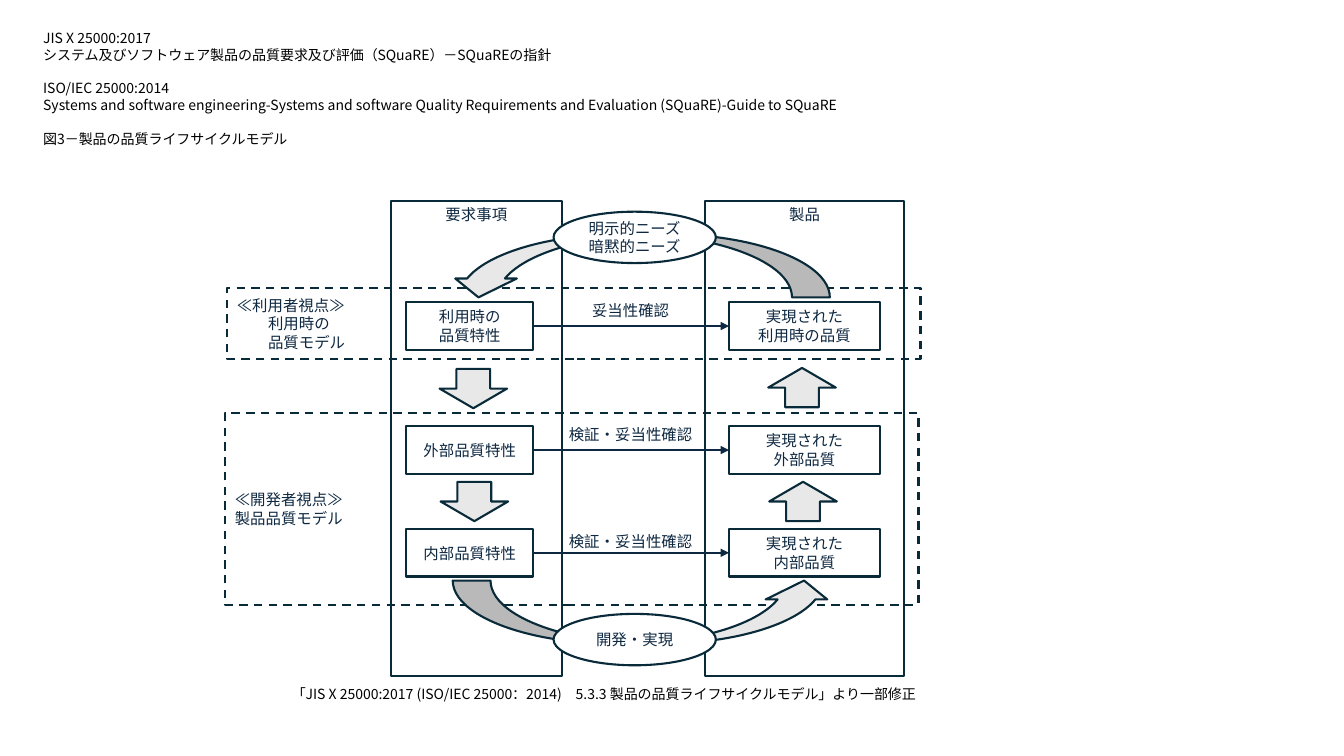
from lxml import etree
from pptx import Presentation
from pptx.dml.color import RGBColor
from pptx.enum.dml import MSO_LINE
from pptx.enum.shapes import MSO_CONNECTOR, MSO_SHAPE
from pptx.enum.text import MSO_ANCHOR, PP_ALIGN
from pptx.oxml.ns import qn
from pptx.util import Inches, Pt

RECT, OVAL = MSO_SHAPE.RECTANGLE, MSO_SHAPE.OVAL
DOWN, UP, CURVED = MSO_SHAPE.DOWN_ARROW, MSO_SHAPE.UP_ARROW, MSO_SHAPE.CURVED_UP_ARROW
STRAIGHT, DASH = MSO_CONNECTOR.STRAIGHT, MSO_LINE.DASH
LEFT, CENTER, RIGHT = PP_ALIGN.LEFT, PP_ALIGN.CENTER, PP_ALIGN.RIGHT
TOP, MIDDLE = MSO_ANCHOR.TOP, MSO_ANCHOR.MIDDLE

WHITE = RGBColor(0xFF, 0xFF, 0xFF)
BLACK = RGBColor(0, 0, 0)
GRAY = RGBColor(0xE8, 0xE8, 0xE8)
OUTLINE = RGBColor(0x09, 0x2A, 0x39)
NAVY = RGBColor(0x0E, 0x28, 0x41)
FONT = "Noto Sans CJK JP"
DIAGRAM_FONT = {"name": FONT, "size": Pt(11), "color": NAVY}
NOTE_FONT = {"name": FONT, "size": Pt(10), "color": BLACK}

HEADING_GROUPS = [
    ["JIS X 25000:2017",
     "システム及びソフトウェア製品の品質要求及び評価（SQuaRE）－SQuaREの指針"],
    ["ISO/IEC 25000:2014",
     "Systems and software engineering-Systems and software Quality "
     "Requirements and Evaluation (SQuaRE)-Guide to SQuaRE"],
    ["図3－製品の品質ライフサイクルモデル"],
]
SOURCE = "「JIS X 25000:2017 (ISO/IEC 25000：2014)　5.3.3 製品の品質ライフサイクルモデル」より一部修正"
COLUMNS = [("要求事項", 3.88, 1.69), ("製品", 6.99, 1.98)]
VIEWPOINTS = [
    (["≪利用者視点≫", "利用時の", "品質モデル"], 0.31, (2.25, 2.86, 6.88, 0.7)),
    (["≪開発者視点≫", "製品品質モデル"], 0, (2.23, 4.1, 6.88, 1.9)),
]
QUALITY_ROWS = [
    (3, ["利用時の", "品質特性"], ["実現された", "利用時の品質"], "妥当性確認", 2.76),
    (4.23, ["外部品質特性"], ["実現された", "外部品質"], "検証・妥当性確認", 3.99),
    (5.25, ["内部品質特性"], ["実現された", "内部品質"], "検証・妥当性確認", 5.06),
]
REQUIREMENT_LEFT, REQUIREMENT_WIDTH = 4.03, 1.26
PRODUCT_LEFT, PRODUCT_WIDTH = 7.23, 1.5
ROW_HEIGHT = 0.47
FLOW_ARROWS = [(DOWN, 4.36, 3.66), (DOWN, 4.37, 4.78), (UP, 7.62, 3.65), (UP, 7.63, 4.78)]
CYCLE_ENDS = [
    (["開発・実現"], 6.09, (4.49, 5.76), 0),
    (["明示的ニーズ", "暗黙的ニーズ"], 2.1, (4.44, 2.32), 180),
]
CURVE_ADJUSTMENTS = (0.595, 0.97, 0.298)

deck = Presentation()
deck.slide_width, deck.slide_height = Inches(13.33), Inches(7.5)
page = deck.slides.add_slide(deck.slide_layouts[6])


def write(box, lines, align=CENTER, anchor=MIDDLE, style=DIAGRAM_FONT):
    frame = box.text_frame
    frame.word_wrap = True
    frame.vertical_anchor = anchor
    for index, line in enumerate(lines):
        para = frame.paragraphs[0] if index == 0 else frame.add_paragraph()
        para.alignment = align
        span = para.add_run()
        span.text = line
        for name, value in style.items():
            if name == "color":
                span.font.color.rgb = value
            else:
                setattr(span.font, name, value)
        east_asian = etree.SubElement(span.font._element, qn("a:ea"))
        east_asian.set("typeface", style["name"])
    return frame


def add_box(kind, place, fill=WHITE, dash=None):
    box = page.shapes.add_shape(kind, *map(Inches, place))
    box.shadow.inherit = False
    if fill is None:
        box.fill.background()
    else:
        box.fill.solid()
        box.fill.fore_color.rgb = fill
    box.line.color.rgb = OUTLINE
    box.line.width = Pt(1.5)
    if dash is not None:
        box.line.dash_style = dash
    return box


def add_text(place, lines, **layout):
    return write(page.shapes.add_textbox(*map(Inches, place)), lines, **layout)


def add_arrow(start, end):
    arrow = page.shapes.add_connector(STRAIGHT, *map(Inches, (*start, *end)))
    arrow.line.color.rgb = NAVY
    arrow.line.width = Pt(1.5)
    etree.SubElement(arrow.line._get_or_add_ln(), qn("a:tailEnd")).set("type", "triangle")
    etree.SubElement(arrow._element.spPr, qn("a:effectLst"))


for title, left, width in COLUMNS:
    write(add_box(RECT, (left, 1.99, width, 4.72)), [title], anchor=TOP)

for lines, indent, place in VIEWPOINTS:
    frame = write(add_box(RECT, place, None, DASH), lines, align=LEFT)
    for para in frame.paragraphs[1:]:
        para._p.get_or_add_pPr().set("marL", str(Inches(indent)))

heading = add_text((0.33, 0.24, 8.98, 1.28), sum(HEADING_GROUPS, []),
                   align=LEFT, anchor=TOP, style=NOTE_FONT)
group_start = 0
for group in HEADING_GROUPS[:-1]:
    group_start += len(group)
    heading.paragraphs[group_start].space_before = Pt(12)

for top, requirement, product, check, check_top in QUALITY_ROWS:
    write(add_box(RECT, (PRODUCT_LEFT, top, PRODUCT_WIDTH, ROW_HEIGHT)), product)
    write(add_box(RECT, (REQUIREMENT_LEFT, top, REQUIREMENT_WIDTH, ROW_HEIGHT)), requirement)
    add_text((5.33, check_top, 1.85, 0.63), [check])
    middle = top + ROW_HEIGHT / 2
    add_arrow((REQUIREMENT_LEFT + REQUIREMENT_WIDTH, middle), (PRODUCT_LEFT, middle))

for kind, left, top in FLOW_ARROWS:
    add_box(kind, (left, top, 0.67, 0.39), GRAY)

for lines, top, curve_corner, rotation in CYCLE_ENDS:
    curve = add_box(CURVED, (*curve_corner, 3.79, 0.63), GRAY)
    curve.rotation = rotation
    for index, value in enumerate(CURVE_ADJUSTMENTS):
        curve.adjustments[index] = value
    frame = write(add_box(OVAL, (5.49, top, 1.61, 0.51)), lines)
    frame.margin_left = frame.margin_right = 0

add_text((2.33, 6.75, 6.85, 0.27), [SOURCE], align=RIGHT, anchor=TOP, style=NOTE_FONT)

deck.save("out.pptx")
